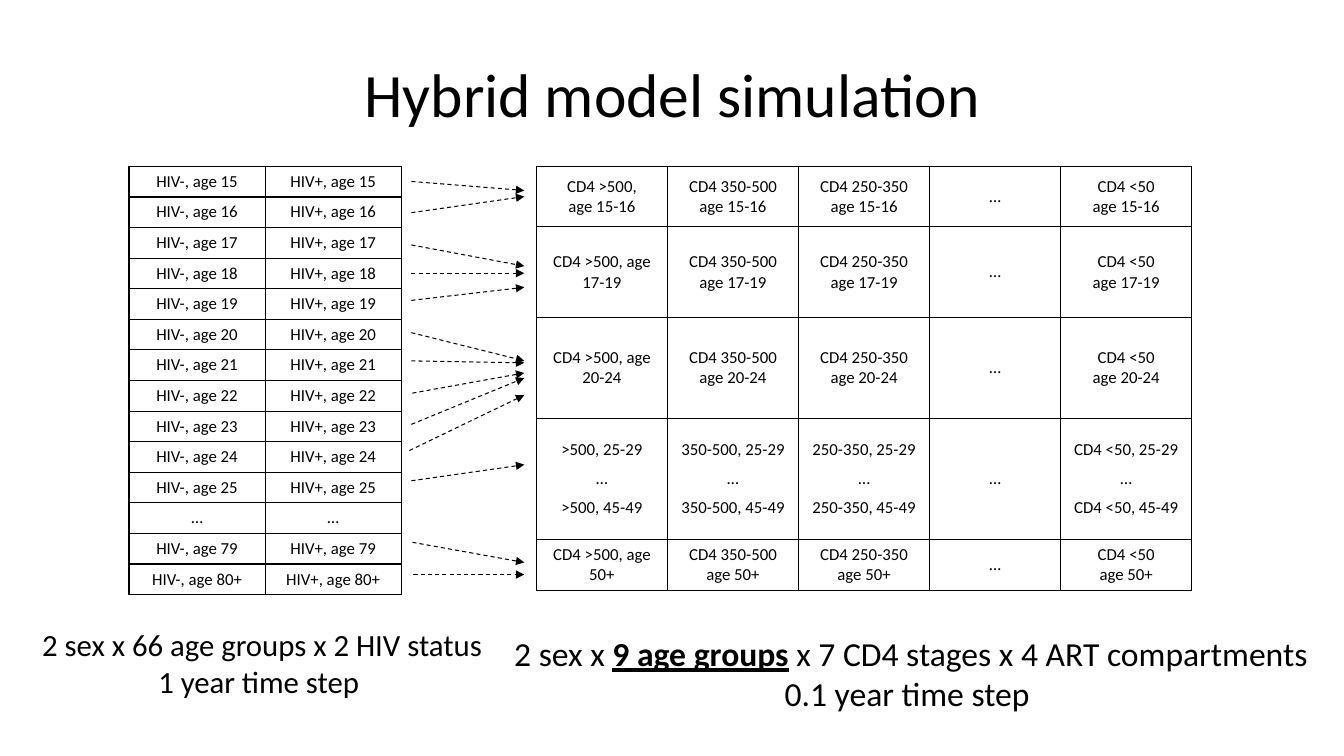
"""Build the slide on the hybrid model simulation."""
import pptx
import pptx.dml.color
import pptx.enum.dml
import pptx.enum.shapes
import pptx.enum.text
import pptx.oxml
import pptx.oxml.ns
import pptx.util

PX = 9144
BLACK = pptx.dml.color.RGBColor(0, 0, 0)
ANCHOR = pptx.enum.text.MSO_ANCHOR
NS = pptx.oxml.ns.nsdecls("a")


def write(frame, text, size, anchor=ANCHOR.TOP, gap=0):
    """Put lines of centred text in a frame, with bold underlined parts between stars."""
    frame.vertical_anchor = anchor
    for row, line in enumerate(text.split("\n")):
        para = frame.add_paragraph() if row else frame.paragraphs[0]
        para.alignment = pptx.enum.text.PP_ALIGN.CENTER
        if gap and line == "…":
            para.space_before = para.space_after = pptx.util.Pt(gap)
        for part, words in enumerate(line.split("*")):
            run = para.add_run()
            run.text = words
            run.font.name = "Calibri"
            run.font.size = pptx.util.Pt(size)
            run.font.color.rgb = BLACK
            run.font.bold = run.font.underline = part % 2 == 1


deck = pptx.Presentation()
deck.slide_width, deck.slide_height = 1333 * PX, 750 * PX
slide = deck.slides.add_slide(deck.slide_layouts[5])
shapes = slide.shapes

title = shapes.title
title.left, title.top, title.width, title.height = 67 * PX, 30 * PX, 1200 * PX, 125 * PX
write(title.text_frame, "Hybrid model simulation", 44, ANCHOR.MIDDLE)

ages = [f"age {age}" for age in [*range(15, 26), 79, "80+"]]
states = [[f"HIV{sign}, {age}" for sign in "-+"] for age in ages]
states.insert(-2, ["…", "…"])

stages = []
for group in ["15-16", "17-19", "20-24", "50+"]:
    comma = "\n" if group == "15-16" else " "
    stages.append([f"CD4 >500,{comma}age {group}", f"CD4 350-500 age {group}",
                   f"CD4 250-350 age {group}", "…", f"CD4 <50\nage {group}"])
counts = [">500", "350-500", "250-350", "", "CD4 <50"]
stages.insert(3, [f"{count}, 25-29\n…\n{count}, 45-49" if count else "…" for count in counts])

grids = [
    (128, 135, [30] * 14, states, ANCHOR.TOP),
    (532, 130, [60, 90, 100, 120, 50], stages, ANCHOR.MIDDLE),
]
for left, width, heights, rows, anchor in grids:
    cols = len(rows[0])
    table = shapes.add_table(len(rows), cols, left * PX, 165 * PX,
                             cols * width * PX, sum(heights) * PX).table
    table.first_row = table.horz_banding = False
    for col in table.columns:
        col.width = width * PX
    for row, height, texts in zip(table.rows, heights, rows):
        row.height = height * PX
        for cell, text in zip(row.cells, texts):
            write(cell.text_frame, text, 12, gap=6)
            cell.vertical_anchor = anchor
            props = cell._tc.get_or_add_tcPr()
            for side in "LRTB":
                props.append(pptx.oxml.parse_xml(
                    f'<a:ln{side} {NS} w="12700"><a:solidFill><a:srgbClr val="{BLACK}"/>'
                    f'</a:solidFill></a:ln{side}>'))
            cell.fill.background()

notes = [
    (29, 616, 462, 84, 22, False, "2 sex x 66 age groups x 2 HIV status\n1 year time step "),
    (491, 623, 825, 91, 24, True,
     "2 sex x *9 age groups* x 7 CD4 stages x 4 ART compartments\n0.1 year time step "),
]
for left, top, width, height, size, wrap, text in notes:
    box = shapes.add_textbox(left * PX, top * PX, width * PX, height * PX)
    box.text_frame.word_wrap = wrap
    write(box.text_frame, text, size)

arrows = [
    (408, 180, 189), (408, 211, 195), (408, 243, 264), (408, 271, 271), (408, 298, 285),
    (408, 330, 358), (408, 358, 360), (409, 390, 370), (408, 421, 375), (406, 447, 392),
    (408, 477, 461), (409, 538, 558), (410, 570, 570),
]
for left, start, end in arrows:
    arrow = shapes.add_connector(pptx.enum.shapes.MSO_CONNECTOR.STRAIGHT,
                                 left * PX, start * PX, 520 * PX, end * PX)
    arrow.line.color.rgb = BLACK
    arrow.line.width = pptx.util.Pt(0.75)
    arrow.line.dash_style = pptx.enum.dml.MSO_LINE.DASH
    arrow.line._get_or_add_ln().append(pptx.oxml.parse_xml(f'<a:tailEnd {NS} type="triangle"/>'))
    arrow._element.spPr.append(pptx.oxml.parse_xml(f"<a:effectLst {NS}/>"))

deck.save("out.pptx")
